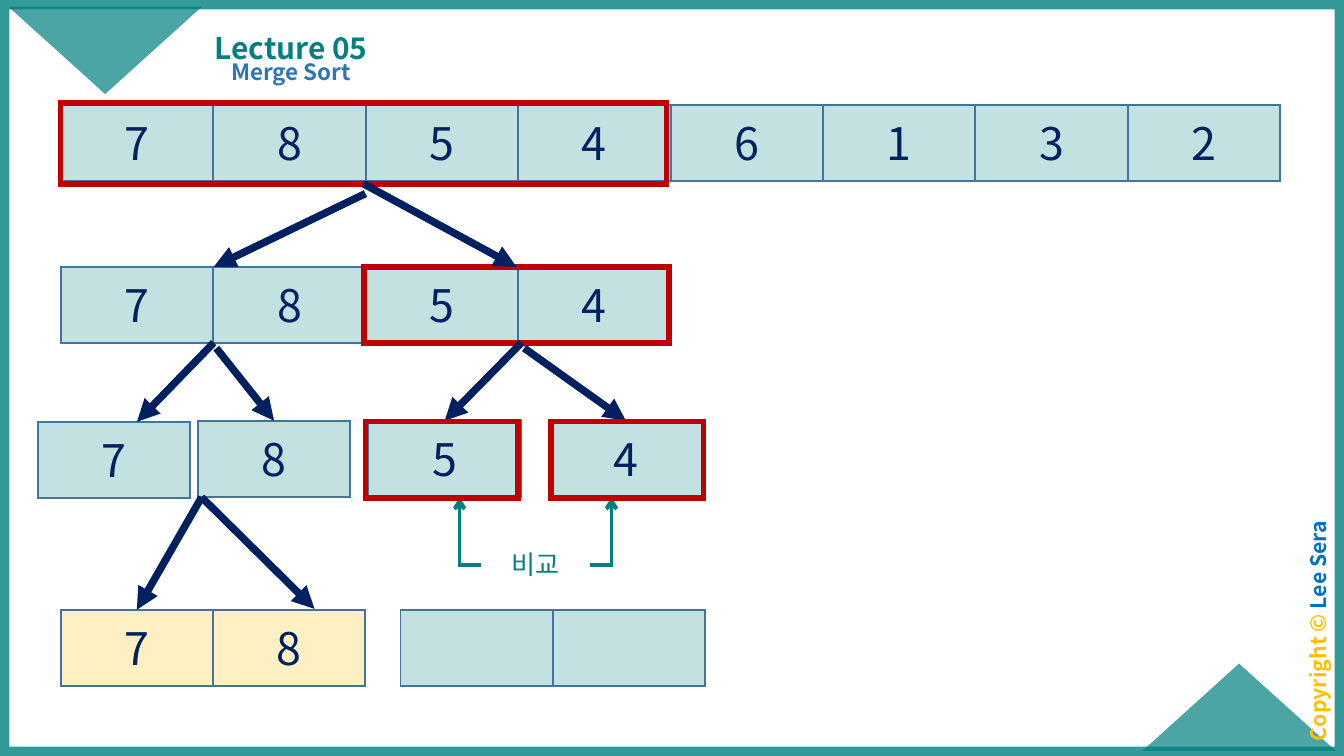
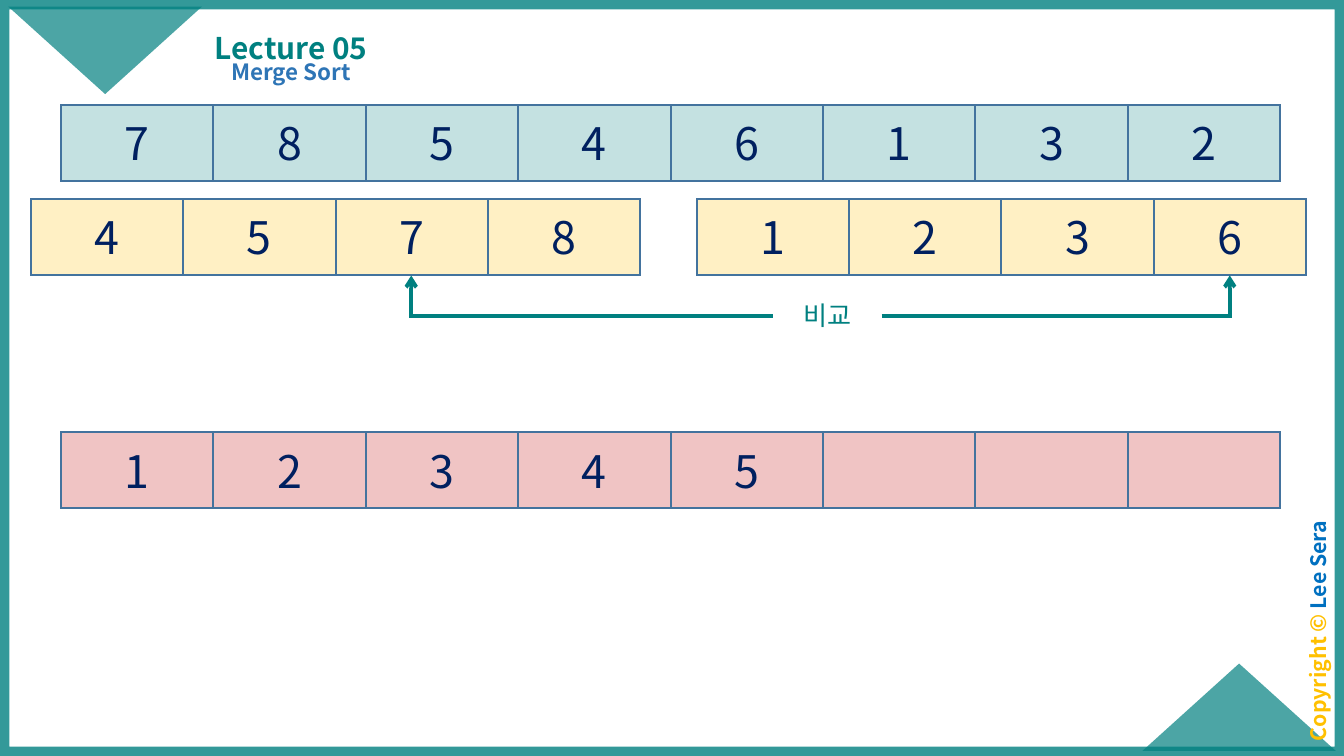
"""Build two merge sort slides: splitting an array and merging its sorted halves."""
from dataclasses import dataclass

from lxml.etree import SubElement
from pptx import Presentation
from pptx.dml.color import RGBColor
from pptx.enum.shapes import MSO_CONNECTOR, MSO_SHAPE
from pptx.enum.text import MSO_ANCHOR, MSO_AUTO_SIZE, PP_ALIGN
from pptx.oxml.ns import qn
from pptx.util import Pt


@dataclass(frozen=True)
class Theme:
    font: str = "Noto Sans CJK KR"
    teal: str = "008080"
    gold: str = "FFC000"
    red: str = "C00000"
    navy: str = "002060"
    blue: str = "0070C0"
    subtitle: str = "2E75B6"
    border: str = "43739E"
    title_size: float = 16
    subtitle_size: float = 12
    copyright_size: float = 11.4
    cell_size: float = 24
    label_size: float = 14


T = Theme()
WIDTH, HEIGHT = 720, 405
CELL_W, CELL_H = 81.65, 40.8
LABEL_W, LABEL_H = 58.3, 24.5
TOP, BOTTOM = 0, 2

TITLE, SUBTITLE = "Lecture 05", "Merge Sort"
COPYRIGHT = [("Copyright © ", T.gold), ("Lee Sera", T.blue)]
COMPARE = "비교"
ARRAY = (32.7, 56.2, "78546132", T.teal)

SPLIT = {
    "rows": {
        "array": ARRAY,
        "half": (32.7, 143, "7854", T.teal),
        "seven": (20.2, 225.9, "7", T.teal),
        "eight": (106, 225.4, "8", T.teal),
        "five": (197.4, 225.4, "5", T.teal),
        "four": (294.5, 225.4, "4", T.teal),
        "merged": (32.5, 326.7, "78", T.gold),
        "empty": (214.6, 326.7, "  ", T.teal),
    },
    "frames": {
        "left half": (32.4, 55.1, 324.7, 43.4),
        "right pair": (195, 143, 163.4, CELL_H),
    },
    "arrows": [
        ((195.8, 103.7), (114.5, 143)),
        ((114.5, 183.6), (73.4, 226)),
        ((115.9, 186.5), "eight"),
        ("left half", "right pair"),
        ((279.4, 183.6), "five"),
        ((280.8, 186.5), "four"),
        ((108, 266.4), "merged"),
        ((108, 266.4), (168.5, 326.2)),
    ],
    "top_frames": [(195.8, 225.9, CELL_W, CELL_H), (295.2, 225.9, CELL_W, CELL_H)],
    "compare": (257.8, 290.4, 246.2, 327.6, 266.4),
}
MERGE = {
    "rows": {
        "array": ARRAY,
        "left": (16.5, 106.5, "4578", T.gold),
        "right": (373.2, 106.5, "1236", T.gold),
        "result": (32.7, 231.5, "12345   ", T.red),
    },
    "compare": (414, 157, 220.3, 658.8, 147.6),
}


def rgb(color):
    return RGBColor.from_string(color)


def sub(parent, tag, **attrs):
    return SubElement(parent, qn(tag), **attrs)


def set_alpha(s, percent):
    for clr in s._element.spPr.iter(qn("a:srgbClr")):
        sub(clr, "a:alpha", val=str(percent * 1000))


def add_shape(slide, kind, box, fill=None, alpha=100, line=None, width=1):
    s = slide.shapes.add_shape(kind, *map(Pt, box))
    s.shadow.inherit = False
    if fill:
        s.fill.solid()
        s.fill.fore_color.rgb = rgb(fill)
        set_alpha(s, alpha)
    else:
        s.fill.background()
    if line:
        s.line.color.rgb = rgb(line)
        s.line.width = Pt(width)
        sub(s.line._get_or_add_ln(), "a:miter", lim="800000")
    else:
        s.line.fill.background()
    return s


def write(s, runs, size, color, bold=False, spacing=None, anchor=None, insets=None):
    tf = s.text_frame
    tf.word_wrap = True
    if anchor is not None:
        tf.vertical_anchor = anchor
    if insets:
        tf.margin_left = tf.margin_right = Pt(insets[0])
        tf.margin_top = tf.margin_bottom = Pt(insets[1])
    p = tf.paragraphs[0]
    p.alignment = PP_ALIGN.CENTER
    if spacing:
        p.line_spacing = spacing
        p.space_before = Pt(0)
    p.font.name, p.font.size, p.font.bold = T.font, Pt(size), bold
    p.font.color.rgb = rgb(color)
    sub(p.font._element, "a:ea", typeface=T.font)
    for text, run_color in runs:
        r = p.add_run()
        r.text = text
        if run_color != color:
            r.font.color.rgb = rgb(run_color)


def add_text(slide, box, runs, size, color, **style):
    s = slide.shapes.add_textbox(*map(Pt, box))
    write(s, runs, size, color, **style)
    return s


def add_line(slide, kind, start, end, color, width, head):
    c = slide.shapes.add_connector(kind, *map(Pt, (*start, *end)))
    c.line.color.rgb = rgb(color)
    c.line.width = Pt(width)
    ln = c.line._get_or_add_ln()
    sub(ln, "a:miter", lim="800000")
    sub(ln, "a:tailEnd", type=head)
    sub(c._element.spPr, "a:effectLst")
    return c


def add_base(prs):
    slide = prs.slides.add_slide(prs.slide_layouts[5])
    frame = add_shape(slide, MSO_SHAPE.RECTANGLE, (0, 0, WIDTH, HEIGHT), line=T.teal, width=10)
    set_alpha(frame, 80)
    for x, y, angle in ((612, 355.5, 0), (4.5, 3.6, 180)):
        s = add_shape(slide, MSO_SHAPE.ISOSCELES_TRIANGLE, (x, y, 103.6, 46.8), T.teal, 70)
        s.rotation = angle
    insets = (5, 2.6)
    s = add_text(slide, (642.2, 329, 133.9, 18), COPYRIGHT, T.copyright_size, T.gold,
                 bold=True, spacing=0.7, insets=insets)
    s.rotation = 270
    title = slide.shapes.title
    title.left, title.top, title.width, title.height = map(Pt, (100.8, 4.3, 110.2, 33.8))
    title.text_frame.auto_size = MSO_AUTO_SIZE.NONE
    write(title, [(TITLE, T.teal)], T.title_size, T.teal, bold=True, spacing=0.9,
          anchor=MSO_ANCHOR.BOTTOM, insets=insets)
    add_text(slide, (79.2, 30.2, 153.4, 24.5), [(SUBTITLE, T.subtitle)], T.subtitle_size,
             T.subtitle, bold=True, spacing=0.9, insets=insets)
    return slide


def add_row(slide, x, y, values, color):
    cells = []
    for i, value in enumerate(values):
        s = add_shape(slide, MSO_SHAPE.RECTANGLE, (x + i * CELL_W, y, CELL_W, CELL_H),
                      color, 23, T.border)
        if value.strip():
            write(s, [(value, T.navy)], T.cell_size, T.navy, anchor=MSO_ANCHOR.MIDDLE)
        cells.append(s)
    return cells


def add_frame(slide, box):
    return add_shape(slide, MSO_SHAPE.RECTANGLE, box, line=T.red, width=3)


def add_arrow(slide, targets, start, end):
    points = [(0, 0) if isinstance(at, str) else at for at in (start, end)]
    c = add_line(slide, MSO_CONNECTOR.STRAIGHT, *points, T.navy, 4, "triangle")
    if isinstance(start, str):
        c.begin_connect(targets[start], BOTTOM)
    if isinstance(end, str):
        c.end_connect(targets[end], TOP)


def add_compare(slide, x, y, left_tip, right_tip, tip_y):
    s = add_text(slide, (x, y, LABEL_W, LABEL_H), [(COMPARE, T.teal)], T.label_size, T.teal)
    s.text_frame.auto_size = MSO_AUTO_SIZE.SHAPE_TO_FIT_TEXT
    for start_x, tip_x in ((x, left_tip), (x + LABEL_W, right_tip)):
        c = add_line(slide, MSO_CONNECTOR.ELBOW, (start_x, y + LABEL_H / 2), (tip_x, tip_y),
                     T.teal, 2, "arrow")
        c._element.spPr.find(qn("a:prstGeom")).set("prst", "bentConnector2")
        if tip_x < start_x:
            xfrm = c._element.spPr.find(qn("a:xfrm"))
            for flip in ("flipH", "flipV"):
                xfrm.attrib.pop(flip)
            xfrm.set("rot", "10800000")


def build(prs, content):
    slide = add_base(prs)
    targets = {name: add_row(slide, *row)[0] for name, row in content["rows"].items()}
    for name, box in content.get("frames", {}).items():
        targets[name] = add_frame(slide, box)
    for start, end in content.get("arrows", []):
        add_arrow(slide, targets, start, end)
    add_compare(slide, *content["compare"])
    for box in content.get("top_frames", []):
        add_frame(slide, box)


def main():
    prs = Presentation()
    prs.slide_width, prs.slide_height = Pt(WIDTH), Pt(HEIGHT)
    for content in (SPLIT, MERGE):
        build(prs, content)
    prs.save("out.pptx")


if __name__ == "__main__":
    main()
